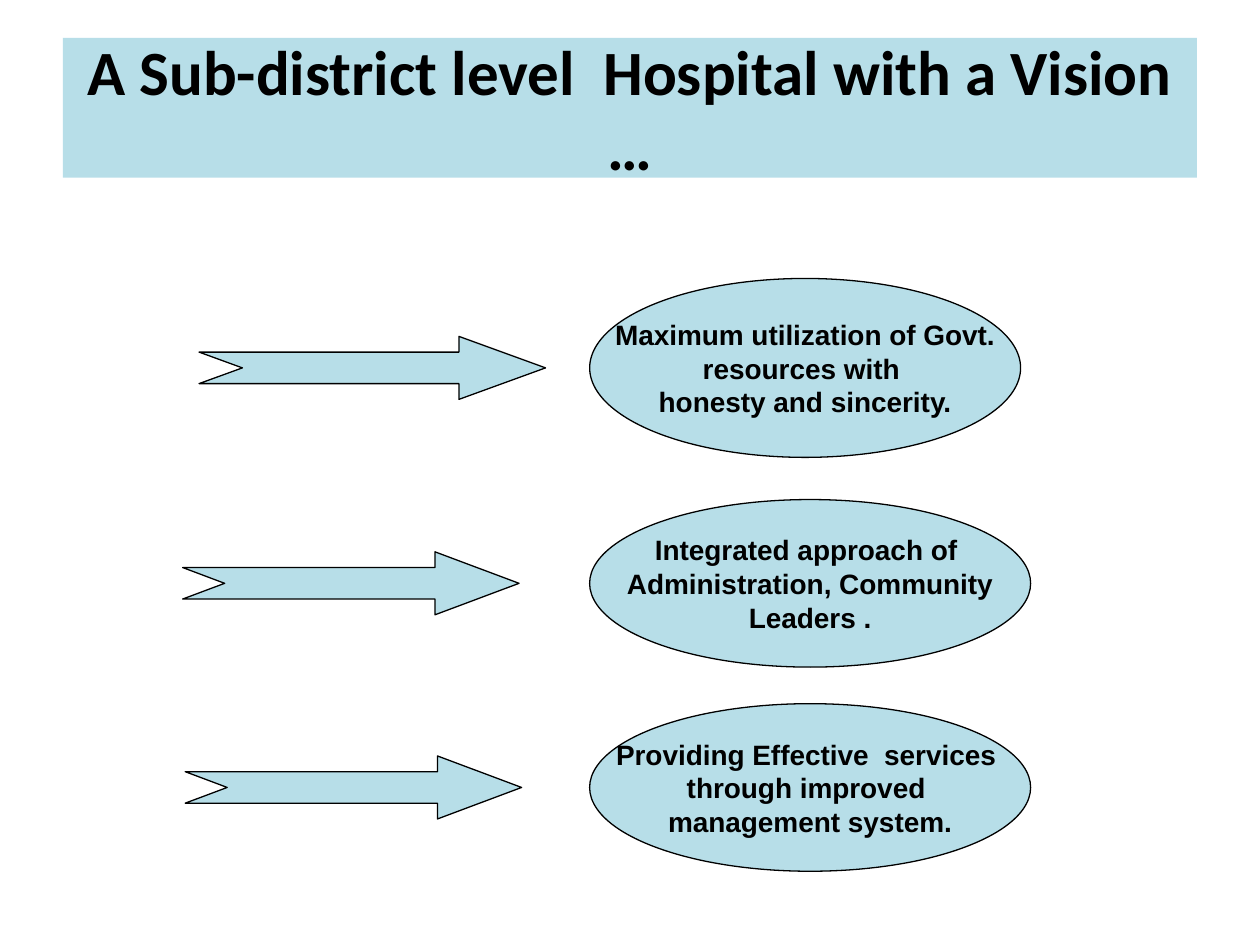
from pptx import Presentation
from pptx.dml.color import RGBColor
from pptx.enum.shapes import MSO_SHAPE
from pptx.enum.text import MSO_ANCHOR, PP_ALIGN
from pptx.util import Inches, Pt

RECTANGLE = MSO_SHAPE.RECTANGLE
OVAL = MSO_SHAPE.OVAL
ARROW = MSO_SHAPE.NOTCHED_RIGHT_ARROW
CENTER = PP_ALIGN.CENTER
MIDDLE = MSO_ANCHOR.MIDDLE


def color(hex_string):
    return RGBColor.from_string(hex_string)


def write(shape, lines, font="Arial", size=16, bold=True, ink="000000", wrap=False):
    frame = shape.text_frame
    frame.word_wrap = wrap
    frame.vertical_anchor = MIDDLE
    for index, line in enumerate(lines):
        paragraph = frame.add_paragraph() if index else frame.paragraphs[0]
        paragraph.alignment = CENTER
        run = paragraph.add_run()
        run.text = line
        run.font.name = font
        run.font.size = Pt(size)
        run.font.bold = bold
        run.font.color.rgb = color(ink)


class VisionSlide:
    FILL = "B7DEE8"
    LINE = "000000"
    LINE_WIDTH = 0.75

    def __init__(self, presentation):
        self.slide = presentation.slides.add_slide(presentation.slide_layouts[6])

    def shape(self, kind, left, top, width, height, outlined=True):
        shape = self.slide.shapes.add_shape(
            kind, Inches(left), Inches(top), Inches(width), Inches(height))
        shape.shadow.inherit = False
        shape.fill.solid()
        shape.fill.fore_color.rgb = color(self.FILL)
        if outlined:
            shape.line.color.rgb = color(self.LINE)
            shape.line.width = Pt(self.LINE_WIDTH)
        else:
            shape.line.fill.background()
        return shape

    def title(self, text):
        banner = self.shape(RECTANGLE, 0.5, 0.3, 9, 1.11, outlined=False)
        write(banner, [text], font="Calibri", size=36, wrap=True)

    def arrow(self, left, middle, width, height=0.5):
        arrow = self.shape(ARROW, left, middle - height / 2, width, height)
        arrow.adjustments[0] = 0.5
        arrow.adjustments[1] = width / height / 4  # head is a quarter of the length

    def goal(self, middle, width, height, lines, left=4.68):
        write(self.shape(OVAL, left, middle - height / 2, width, height), lines)


def main():
    presentation = Presentation()
    presentation.slide_width = Inches(10)
    presentation.slide_height = Inches(7.5)
    page = VisionSlide(presentation)

    page.title("A Sub-district level  Hospital with a Vision …")

    # Each row: middle height, arrow (left, width), goal (width, height), text
    rows = [
        (2.92, (1.58, 2.75), (3.42, 1.42),
         ["Maximum utilization of Govt.", "resources with ", "honesty and sincerity."]),
        (4.63, (1.45, 2.67), (3.5, 1.33),
         ["Integrated approach of ", "Administration, Community", "Leaders ."]),
        (6.25, (1.47, 2.67), (3.5, 1.33),
         ["Providing Effective  services ", "through improved ", "management system."]),
    ]
    for middle, (arrow_left, arrow_width), (goal_width, goal_height), lines in rows:
        page.arrow(arrow_left, middle, arrow_width)
        page.goal(middle, goal_width, goal_height, lines)

    presentation.save("out.pptx")


if __name__ == "__main__":
    main()
